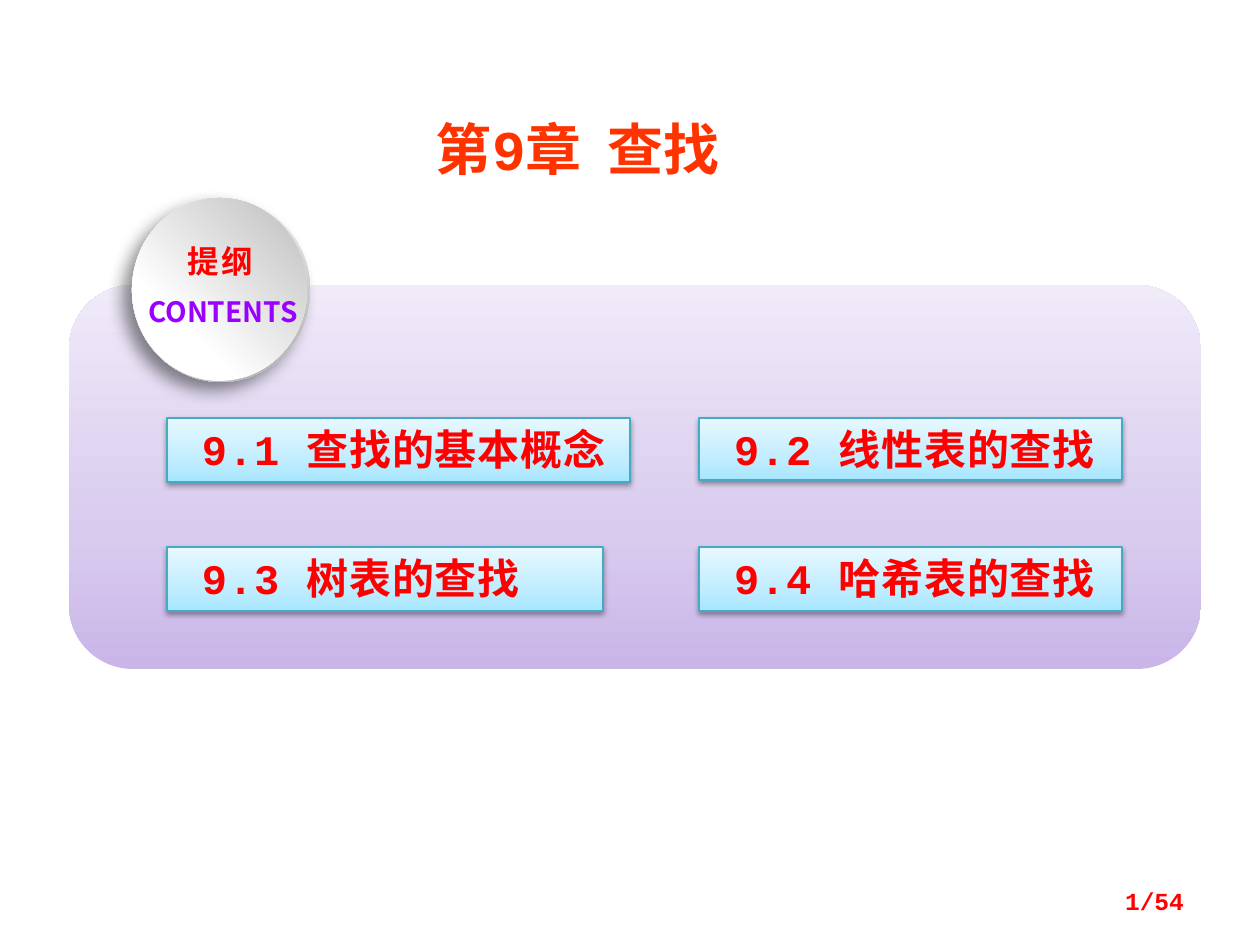
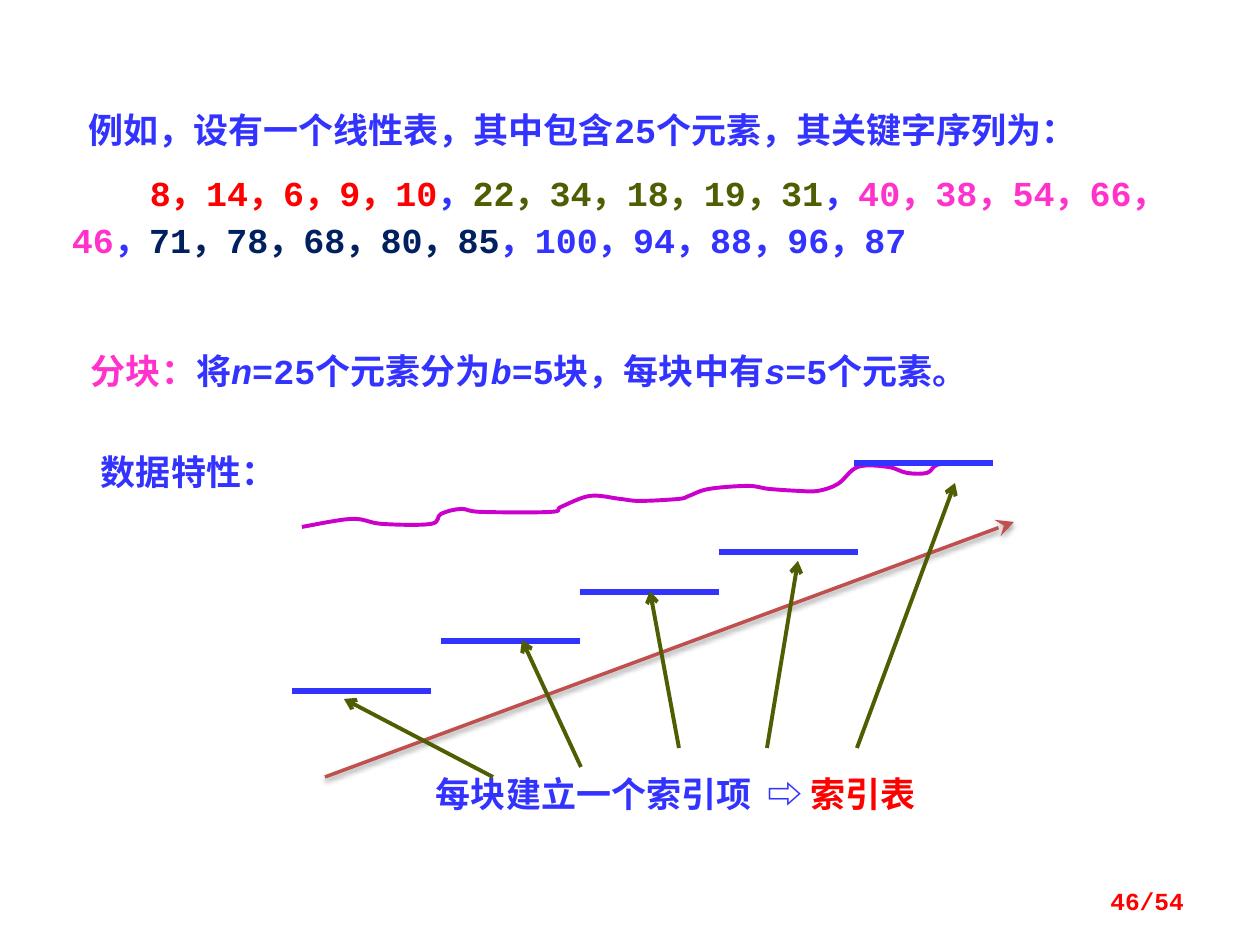
from lxml import etree
from pptx import Presentation
from pptx import util as u
from pptx.dml.color import RGBColor
from pptx.enum import shapes, text
from pptx.oxml import parse_xml
from pptx.oxml.ns import nsdecls, qn

PX = 7257  # EMU in one px, 126 px to the inch
MONO, SANS = "Courier New", "Noto Sans CJK SC"
RED, BLUE, PINK, OLIVE, NAVY = "FF0000", "3333FF", "FF33CC", "4F5E02", "002060"
SOFT_SHADOW = (38, 3.1, 1.6, 90)  # opacity %, blur pt, distance pt, angle
color = RGBColor.from_string


def write(frame, lines, size, left=13, right=13, align=None,
          leading=1.2, indents=(0,), name=MONO, spc=0):
    """Fill a text frame; each line is a list of (text, colour, italic)."""
    layout = {"word_wrap": True, "vertical_anchor": text.MSO_ANCHOR.TOP,
              "margin_left": left * PX, "margin_right": right * PX,
              "margin_top": 6 * PX, "margin_bottom": 6 * PX}
    for key, value in layout.items():
        setattr(frame, key, value)
    for number, (line, indent) in enumerate(zip(lines, indents)):
        para = frame.add_paragraph() if number else frame.paragraphs[0]
        para.alignment = align or text.PP_ALIGN.LEFT
        para.line_spacing = u.Pt(size * leading)
        if number:
            para.space_before = u.Pt(size / 2)
        para_format = para._p.get_or_add_pPr()
        para_format.set("hangingPunct", "0")
        if indent:
            para_format.set("indent", str(indent * PX))
        for words, tint, italic in line:
            span = para.add_run()
            span.text = words
            span.font.color.rgb = color(tint)
            look = {"name": name, "size": u.Pt(size), "bold": True, "italic": italic}
            for key, value in look.items():
                setattr(span.font, key, value)
            properties = span._r.get_or_add_rPr()
            etree.SubElement(properties, qn("a:ea")).set("typeface", SANS)
            if spc:
                properties.set("spc", str(spc))


def add_shadow(properties, opacity, blur, distance, angle):
    """Put an outer shadow at the end of a shape's properties."""
    for old in properties.findall(qn("a:effectLst")):
        properties.remove(old)
    properties.append(parse_xml(
        f'<a:effectLst {nsdecls("a")}><a:outerShdw blurRad="{u.Pt(blur)}" '
        f'dist="{u.Pt(distance)}" dir="{angle * 60000}" algn="ctr" rotWithShape="0">'
        f'<a:srgbClr val="000000"><a:alpha val="{opacity * 1000}"/></a:srgbClr>'
        '</a:outerShdw></a:effectLst>'))


deck = Presentation()
deck.slide_width, deck.slide_height = u.Inches(10), u.Inches(7.5)
contents, example = [deck.slides.add_slide(deck.slide_layouts[6]) for _ in range(2)]

# Chapter title
title = contents.shapes.add_shape(shapes.MSO_SHAPE.RECTANGLE,
                                  423 * PX, 108 * PX, 374 * PX, 81 * PX)
title.shadow.inherit = False
title.fill.solid()
title.fill.fore_color.rgb = color("FFFFFF")
title.line.color.rgb = color("FFFFFF")
title.line.width = u.Pt(2)
write(title.text_frame, [[("第9章  查找", "FF3300", False)]], 32)

# Panel, badge and chapter sections, all with gradients
PANEL = [(0, "C9B5E8"), (35, "D8CBEE"), (100, "F0EAF9")]
SECTION = [(0, "A7E6FF"), (35, "C1EDFF"), (100, "E7F8FF")]
RIM = [(17, "FFFFFF"), (88, "B8B8B8")]
FACE = [(29, "FFFFFF"), (98, "BFBFBF")]
ROUND, OVAL, RECT = (shapes.MSO_SHAPE.ROUNDED_RECTANGLE, shapes.MSO_SHAPE.OVAL,
                     shapes.MSO_SHAPE.RECTANGLE)
parts = [
    (ROUND, 69, 285, 1132, 384, PANEL, 270, None, None),
    (OVAL, 132, 198, 178, 184, RIM, 60, (45, 10, 7, 140), None),
    (OVAL, 132, 198, 175, 183, FACE, 315, None, None),
    (RECT, 167, 418, 463, 64, SECTION, 270, SOFT_SHADOW, "9.1 查找的基本概念"),
    (RECT, 699, 418, 423, 62, SECTION, 270, SOFT_SHADOW, "9.2 线性表的查找"),
    (RECT, 167, 547, 436, 64, SECTION, 270, SOFT_SHADOW, "9.3 树表的查找"),
    (RECT, 699, 547, 423, 64, SECTION, 270, SOFT_SHADOW, "9.4 哈希表的查找"),
]
for kind, left, top, width, height, stops, angle, shadow, label in parts:
    shape = contents.shapes.add_shape(kind, left * PX, top * PX, width * PX, height * PX)
    shape.shadow.inherit = False
    marks = "".join(f'<a:gs pos="{place * 1000}"><a:srgbClr val="{tint}"/></a:gs>'
                    for place, tint in stops)
    shape._element.spPr.find(qn("a:prstGeom")).addnext(parse_xml(
        f'<a:gradFill {nsdecls("a")} rotWithShape="1"><a:gsLst>{marks}</a:gsLst>'
        f'<a:lin ang="{angle * 60000}" scaled="0"/></a:gradFill>'))
    if label:
        shape.line.color.rgb = color("46AAC5")
        shape.line.width = u.Pt(0.75)
        write(shape.text_frame, [[(label, RED, False)]], 24, left=35, right=0, spc=50)
    else:
        shape.line.fill.background()
    if shadow:
        add_shadow(shape._element.spPr, *shadow)

# Badge wording
for words, tint, size, spc, left, top, width, height in [
        ("CONTENTS", "9900FF", 16, 0, 121, 289, 204, 47),
        ("提纲", RED, 18, 150, 170, 236, 101, 50)]:
    box = contents.shapes.add_textbox(left * PX, top * PX, width * PX, height * PX)
    write(box.text_frame, [[(words, tint, False)]], size, left=0, right=0,
          align=text.PP_ALIGN.CENTER, name=SANS, spc=spc)

# Key sequence, coloured block by block
keys = [
    ("8，14，6，9，10", RED, False), ("，", BLUE, False),
    ("22，34，18，19，31", OLIVE, False), ("，", BLUE, False),
    ("40，38，54，66，46", PINK, False), ("，", BLUE, False),
    ("71，78，68，80，85", NAVY, False), ("，100，94，88，96，87", BLUE, False),
]
intro = [("例如，设有一个线性表，其中包含25个元素，其关键字序列为：", BLUE, False)]
box = example.shapes.add_textbox(59 * PX, 98 * PX, 1132 * PX, 174 * PX)
write(box.text_frame, [intro, keys], 20, leading=1.32, indents=(16, 78))

# Statements on the blocks
blocks = [("分块：", PINK, False), ("将", BLUE, False), ("n", BLUE, True),
          ("=25个元素分为", BLUE, False), ("b", BLUE, True),
          ("=5块，每块中有", BLUE, False), ("s", BLUE, True), ("=5个元素。", BLUE, False)]
for line, name, left, top, width in [
        (blocks, MONO, 78, 344, 935),
        ([("数据特性：", BLUE, False)], SANS, 88, 444, 266),
        ([("每块建立一个索引项  ⇨ ", BLUE, False), ("索引表", RED, False)],
         SANS, 423, 767, 630)]:
    box = example.shapes.add_textbox(left * PX, top * PX, width * PX, 55 * PX)
    write(box.text_frame, [line], 20, name=name)

# Data trend: straight segments between knots, each bent into a smooth curve
knots = [(302, 527), (352, 519), (382, 524), (431, 524), (441, 514), (461, 509),
         (481, 512), (551, 512), (561, 507), (590, 496), (620, 499), (640, 501),
         (679, 499), (689, 496), (709, 489), (748, 486), (769, 489), (799, 491),
         (818, 491), (838, 484), (858, 467), (888, 467), (907, 473), (927, 473),
         (937, 465), (958, 462)]
builder = example.shapes.build_freeform(*knots[0], scale=PX)
builder.add_line_segments(knots[1:], close=False)
trend = builder.convert_to_shape()
trend.shadow.inherit = False
trend.fill.background()
trend.line.color.rgb = color("CC00CC")
trend.line.width = u.Pt(2.25)
segments = list(trend._element.iter(qn("a:lnTo")))
origin = [min(axis) for axis in zip(*knots)]
padded = [knots[0], *knots, knots[-1]]
for segment, a, b, c, d in zip(segments, padded, padded[1:], padded[2:], padded[3:]):
    bend_out = [q + (r - p) / 6 for p, q, r in zip(a, b, c)]
    bend_in = [r - (s - q) / 6 for q, r, s in zip(b, c, d)]
    segment.tag = qn("a:cubicBezTo")
    for place, bend in enumerate((bend_out, bend_in)):
        point = etree.Element(qn("a:pt"))
        for key, value, start in zip("xy", bend, origin):
            point.set(key, str(round((value - start) * PX)))
        segment.insert(place, point)
# Path units become EMU so that the bends keep their fractions
outline = next(trend._element.iter(qn("a:path")))
for key in ("w", "h"):
    outline.set(key, str(int(outline.get(key)) * PX))
ends = [outline.find(qn("a:moveTo"))[0], *(segment[2] for segment in segments)]
for point in ends:
    for key in "xy":
        point.set(key, str(int(point.get(key)) * PX))

# Block levels, rising trend arrow, index arrows
levels = [(292, 691), (441, 641), (580, 592), (719, 552), (854, 463)]
pointers = [(493, 777, 344, 699), (581, 767, 522, 640), (679, 748, 650, 591),
            (767, 748, 798, 561), (857, 748, 955, 483)]
strokes = [(x, y, x + 139, y, BLUE, 3, None) for x, y in levels]
strokes.append((325, 777, 1014, 522, "C0504D", 2, "stealth"))
strokes += [(*pointer, OLIVE, 2.25, "arrow") for pointer in pointers]
for x1, y1, x2, y2, tint, weight, head in strokes:
    stroke = example.shapes.add_connector(shapes.MSO_CONNECTOR.STRAIGHT,
                                          x1 * PX, y1 * PX, x2 * PX, y2 * PX)
    stroke.line.color.rgb = color(tint)
    stroke.line.width = u.Pt(weight)
    if head:
        tip = etree.SubElement(stroke.line._get_or_add_ln(), qn("a:tailEnd"))
        tip.set("type", head)
    if head == "stealth":
        tip.set("w", "lg")
        tip.set("len", "lg")
        add_shadow(stroke._element.spPr, *SOFT_SHADOW)
    else:
        etree.SubElement(stroke._element.spPr, qn("a:effectLst"))

# Page numbers
for page, number in [(contents, 1), (example, 46)]:
    box = page.shapes.add_textbox(903 * PX, 876 * PX, 294 * PX, 50 * PX)
    write(box.text_frame, [[(f"{number}/54", RED, False)]], 14,
          align=text.PP_ALIGN.RIGHT)
    box.text_frame.vertical_anchor = text.MSO_ANCHOR.MIDDLE

deck.save("out.pptx")
